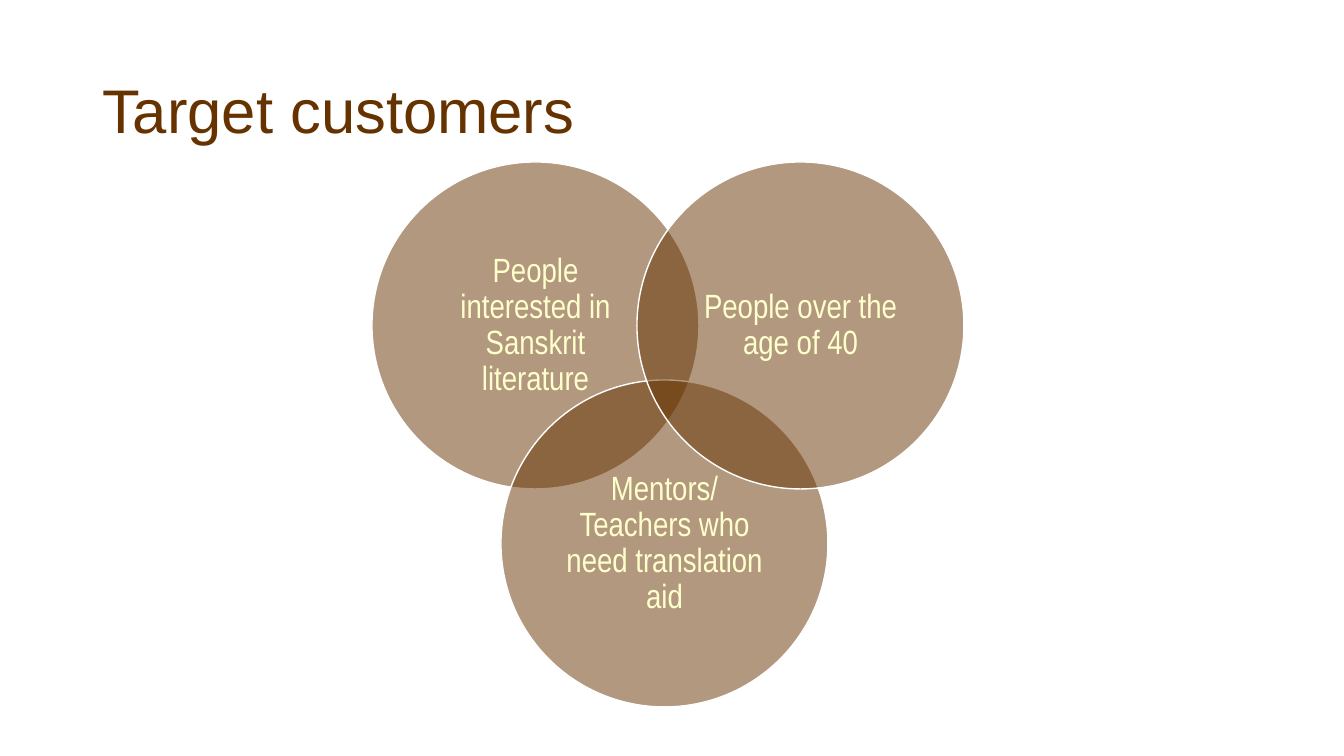
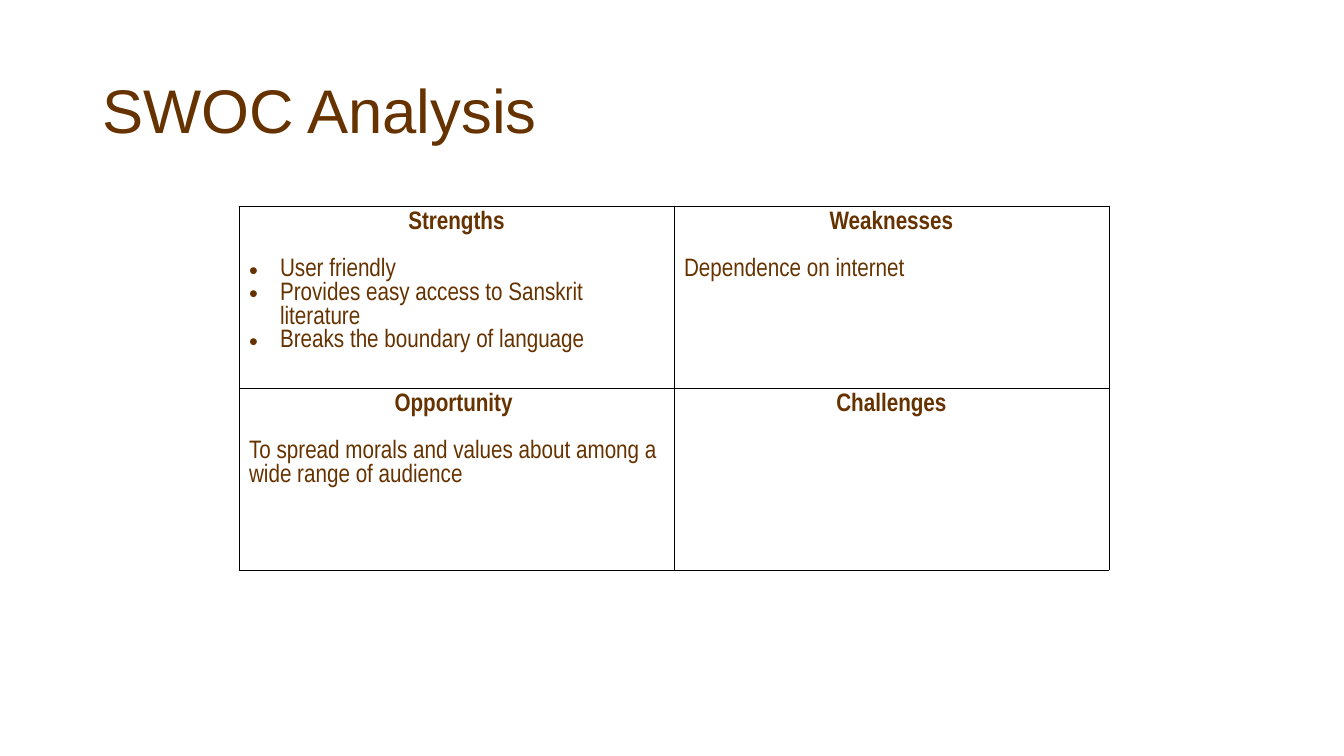
from lxml.etree import SubElement
from pptx import Presentation
from pptx.dml.color import RGBColor
from pptx.enum.shapes import MSO_SHAPE as SHAPE
from pptx.enum.text import MSO_ANCHOR as ANCHOR, PP_ALIGN as ALIGN
from pptx.oxml.ns import qn
from pptx.util import Emu, Pt

# Shared scale, colours and fonts
EMU_PER_PX = 914400 / 100.8
BROWN, CREAM, WHITE, BLACK = "663300", "FFFFCC", "FFFFFF", "000000"
HEAD_FONT, BODY_FONT = "Arial", "Arial Narrow"


def px(n):
    return Emu(round(n * EMU_PER_PX))


def rgb(value):
    return RGBColor.from_string(value)


def write(p, text, size=18, font=BODY_FONT, color=BROWN, bold=False,
          align=ALIGN.LEFT, spacing=1.0, after=0):
    p.alignment, p.line_spacing, p.space_after = align, spacing, Pt(after)
    p.space_before = Pt(0)
    r = p.add_run()
    r.text = text
    r.font.size, r.font.name, r.font.bold = Pt(size), font, bold
    r.font.color.rgb = rgb(color)


def add_bullet(p, indent=31):
    pPr = p._p.get_or_add_pPr()
    pPr.set("marL", str(px(indent)))
    pPr.set("indent", str(-px(indent)))
    SubElement(pPr, qn("a:buFont"), typeface=HEAD_FONT)
    SubElement(pPr, qn("a:buChar"), char="•")


def add_titled_slide(prs, title):
    s = prs.slides.add_slide(prs.slide_layouts[5])
    box = s.shapes.title
    box.left, box.top, box.width, box.height = map(px, (92, 41, 1159, 146))
    tf = box.text_frame
    tf.vertical_anchor = ANCHOR.MIDDLE
    write(tf.paragraphs[0], title, size=44, font=HEAD_FONT, spacing=0.9)
    return s


def add_venn_circle(s, x, y, text, size=327, inset=48):
    circle = s.shapes.add_shape(SHAPE.OVAL, px(x), px(y), px(size), px(size))
    circle.shadow.inherit = False
    circle.fill.solid()
    circle.fill.fore_color.rgb = rgb(BROWN)
    fill_color = circle._element.spPr.find(qn("a:solidFill"))[0]
    SubElement(fill_color, qn("a:alpha"), val="50000")
    circle.line.color.rgb = rgb(WHITE)
    circle.line.width = Pt(1)

    side = px(size - 2 * inset)
    label = s.shapes.add_textbox(px(x + inset), px(y + inset), side, side)
    tf = label.text_frame
    tf.word_wrap, tf.vertical_anchor = True, ANCHOR.MIDDLE
    tf.margin_left = tf.margin_right = tf.margin_top = tf.margin_bottom = px(10)
    write(tf.paragraphs[0], text, size=24, color=CREAM, align=ALIGN.CENTER,
          spacing=0.9)


def set_borders(cell, color=BLACK, width=0.5):
    tcPr = cell._tc.get_or_add_tcPr()
    for side in ("lnL", "lnR", "lnT", "lnB"):
        ln = SubElement(tcPr, qn(f"a:{side}"), w=str(Pt(width)))
        SubElement(SubElement(ln, qn("a:solidFill")), qn("a:srgbClr"), val=color)


def fill_quadrant(cell, heading, lines):
    set_borders(cell)
    cell.fill.background()
    tf = cell.text_frame
    write(tf.paragraphs[0], heading, bold=True, align=ALIGN.CENTER, after=17)
    for line in lines:
        p = tf.add_paragraph()
        write(p, line)
        if len(lines) > 1:
            add_bullet(p)


def add_quadrants(s, x, y, col_width, row_height, rows):
    n_rows, n_cols = len(rows), len(rows[0])
    table = s.shapes.add_table(n_rows, n_cols, px(x), px(y), px(n_cols * col_width),
                               px(n_rows * row_height)).table
    table.first_row = table.horz_banding = False
    for col in table.columns:
        col.width = px(col_width)
    for i, quadrants in enumerate(rows):
        table.rows[i].height = px(row_height)
        for j, (heading, lines) in enumerate(quadrants):
            fill_quadrant(table.cell(i, j), heading, lines)


def main():
    prs = Presentation()
    prs.slide_width, prs.slide_height = px(1344), px(756)

    # Target customers
    s = add_titled_slide(prs, "Target customers")
    for x, y, text in (
        (372, 162, "People interested in Sanskrit literature"),
        (501, 380, "Mentors/ Teachers who need translation aid"),
        (637, 162, "People over the age of 40"),
    ):
        add_venn_circle(s, x, y, text)

    # SWOC analysis
    s = add_titled_slide(prs, "SWOC Analysis")
    add_quadrants(s, 239, 206, 435, 182, [
        [("Strengths", ["User friendly",
                        "Provides easy access to Sanskrit literature ",
                        "Breaks the boundary of language"]),
         ("Weaknesses", ["Dependence on internet"])],
        [("Opportunity ", ["To spread morals and values about among a "
                           "wide range of audience"]),
         ("Challenges", [])],
    ])

    prs.save("out.pptx")


main()
